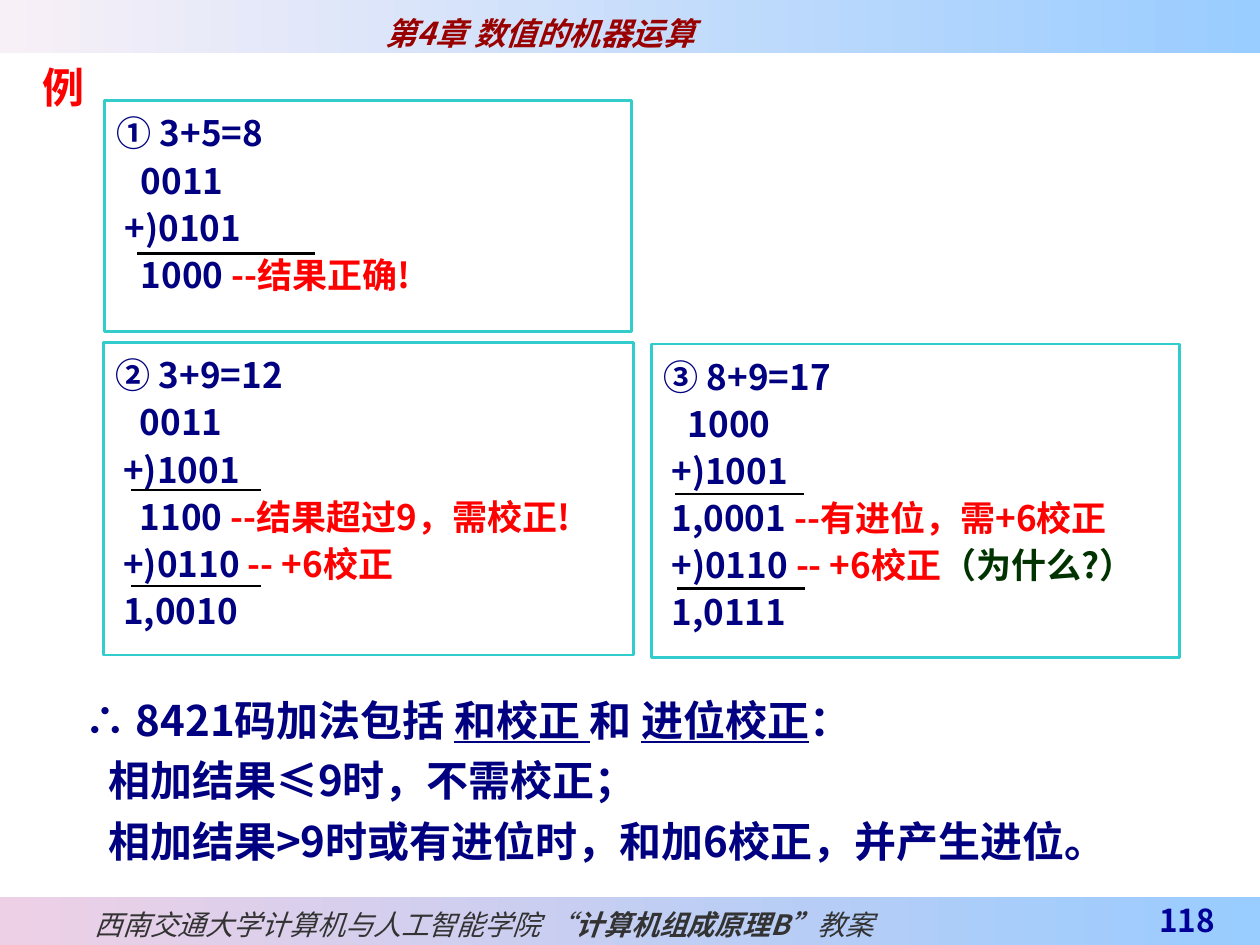
from lxml import etree
from pptx import Presentation
from pptx.dml.color import RGBColor
from pptx.enum import shapes, text
from pptx.oxml.ns import qn
from pptx.util import Inches, Pt

NAVY = RGBColor(0x00, 0x00, 0x80)
BLUE = RGBColor(0x00, 0x00, 0x99)
RED = RGBColor(0xFF, 0x00, 0x00)
MAROON = RGBColor(0x99, 0x00, 0x00)
GREEN = RGBColor(0x00, 0x33, 0x00)
GRAY = RGBColor(0x33, 0x33, 0x33)
TEAL = RGBColor(0x33, 0xCC, 0xCC)
SKY = RGBColor(0x99, 0xCC, 0xFF)
PALE = RGBColor(0xF8, 0xF0, 0xF7)
PINK = RGBColor(0xEE, 0xD0, 0xE6)
WHITE = RGBColor(0xFF, 0xFF, 0xFF)
BLACK = RGBColor(0x00, 0x00, 0x00)
FONT = "Noto Sans CJK SC"
SIGN, DIGIT = 0.06, 0.19  # indents of the sums

# A line is (indent, runs); a run is (text, format)
HEAD = [(2.96, [("第4章 数值的机器运算", {})])]
FOOT = [(0.65, [
    ("西南交通大学计算机与人工智能学院 ", {}),
    ("“", {"face": "Arial"}),
    ("计算机组成", {"face": "Times New Roman", "bold": True}),
    ("原理B”", {"bold": True}),
    ("教案", {}),
])]
RULE = [
    (0, [("∴ 8421码加法包括 ", {}), ("和校正 ", {"under": True}), ("和 ", {}),
         ("进位校正", {"under": True}), ("：", {})]),
    (DIGIT, [("相加结果≤9时，不需校正；", {})]),
    (DIGIT, [("相加结果>9时或有进位时，和加6校正，并产生进位。", {})]),
]
# Each sum: box, lines, rules as (left, top, width)
SUMS = [
    ((0.83, 0.8, 4.18, 1.83), [
        (0, [("① 3+5=8", {})]),
        (DIGIT, [("0011", {})]),
        (SIGN, [("+)0101", {})]),
        (DIGIT, [("1000 ", {}), ("--结果正确!", {"color": RED})]),
    ], [(1.09, 2.01, 1.41)]),
    ((0.82, 2.72, 4.21, 2.48), [
        (0, [("② 3+9=12", {})]),
        (DIGIT, [("0011", {})]),
        (SIGN, [("+)1001", {})]),
        (DIGIT, [("1100", {}), (" --结果超过9，需校正!", {"color": RED})]),
        (SIGN, [("+)0110 ", {}), ("-- +6校正", {"color": RED})]),
        (SIGN, [("1,0010", {})]),
    ], [(1.04, 3.89, 1.03), (1.04, 4.65, 1.03)]),
    ((5.17, 2.73, 4.19, 2.49), [
        (0, [("③ 8+9=17", {})]),
        (DIGIT, [("1000", {})]),
        (SIGN, [("+)1001", {})]),
        (SIGN, [("1,0001 ", {}), ("--有进位，需+6校正", {"color": RED})]),
        (SIGN, [("+)0110 ", {}), ("-- +6校正", {"color": RED}),
                ("（为什么?）", {"color": GREEN})]),
        (SIGN, [("1,0111", {})]),
    ], [(5.36, 3.92, 1.02), (5.37, 4.67, 1.02)]),
]


def style(run, size, color, bold=True, italic=False, under=False, face=FONT):
    font = run.font
    font.size, font.bold, font.italic = Pt(size), bold, italic
    font.underline, font.name = under, face
    font.color.rgb = color
    east = etree.SubElement(run._r.get_or_add_rPr(), qn("a:ea"))
    east.set("typeface", FONT)


def write(shape, lines, space=1.2, align=text.PP_ALIGN.LEFT,
          anchor=text.MSO_ANCHOR.TOP, **base):
    frame = shape.text_frame
    frame.word_wrap, frame.vertical_anchor = True, anchor
    for i, (indent, runs) in enumerate(lines):
        para = frame.add_paragraph() if i else frame.paragraphs[0]
        para.alignment, para.line_spacing = align, space
        if indent:
            para._p.get_or_add_pPr().set("marL", str(Inches(indent)))
            para._p.get_or_add_pPr().set("indent", "0")
        for words, extra in runs:
            run = para.add_run()
            run.text = words
            style(run, **{**base, **extra})


def rect(parent, box):
    shape = parent.add_shape(shapes.MSO_SHAPE.RECTANGLE, *map(Inches, box))
    shape.shadow.inherit = False
    return shape


def band(parent, box, left, right):
    shape = rect(parent, box)
    shape.line.fill.background()
    shape.fill.gradient()
    shape.fill.gradient_angle = 0
    for stop, color, place in zip(shape.fill.gradient_stops, (left, right), (0, 1)):
        stop.color.rgb, stop.position = color, place
    return shape


def label(parent, box):
    return parent.add_textbox(*map(Inches, box))


def rule(parent, left, top, width):
    line = parent.add_connector(shapes.MSO_CONNECTOR.STRAIGHT, Inches(left),
                                Inches(top), Inches(left + width), Inches(top))
    line.line.color.rgb, line.line.width = BLACK, Pt(1.5)
    etree.SubElement(line._element.spPr, qn("a:effectLst"))


def main():
    deck = Presentation()
    deck.slide_width, deck.slide_height = Inches(10), Inches(7.5)
    items = deck.slides.add_slide(deck.slide_layouts[6]).shapes

    # Header, footer and page number
    write(band(items, (0, 0, 10, 0.42), PALE, SKY), HEAD,
          size=18, color=MAROON, italic=True)
    write(band(items, (0, 7.12, 10, 0.38), PINK, SKY), FOOT, size=16, color=GRAY,
          bold=False, italic=True, anchor=text.MSO_ANCHOR.MIDDLE)
    page = label(items, (8.66, 7.12, 1.08, 0.38))
    page.text_frame.margin_top = 0
    write(page, [(0, [("118", {})])], size=18, color=BLUE,
          align=text.PP_ALIGN.RIGHT, anchor=text.MSO_ANCHOR.BOTTOM)

    # Heading
    write(label(items, (0.24, 0.44, 9.76, 0.5)), [(0, [("例", {})])],
          space=1.0, size=24, color=RED)

    # Worked sums
    for box, lines, rules in SUMS:
        group = items.add_group_shape().shapes
        card = rect(group, box)
        card.fill.solid()
        card.fill.fore_color.rgb = WHITE
        card.line.color.rgb, card.line.width = TEAL, Pt(1.5)
        write(card, lines, space=1.12, align=text.PP_ALIGN.JUSTIFY,
              size=20, color=NAVY)
        for place in rules:
            rule(group, *place)

    # Conclusion
    write(label(items, (0.57, 5.38, 9.43, 1.56)), RULE, size=24, color=NAVY)

    deck.save("out.pptx")


if __name__ == "__main__":
    main()
